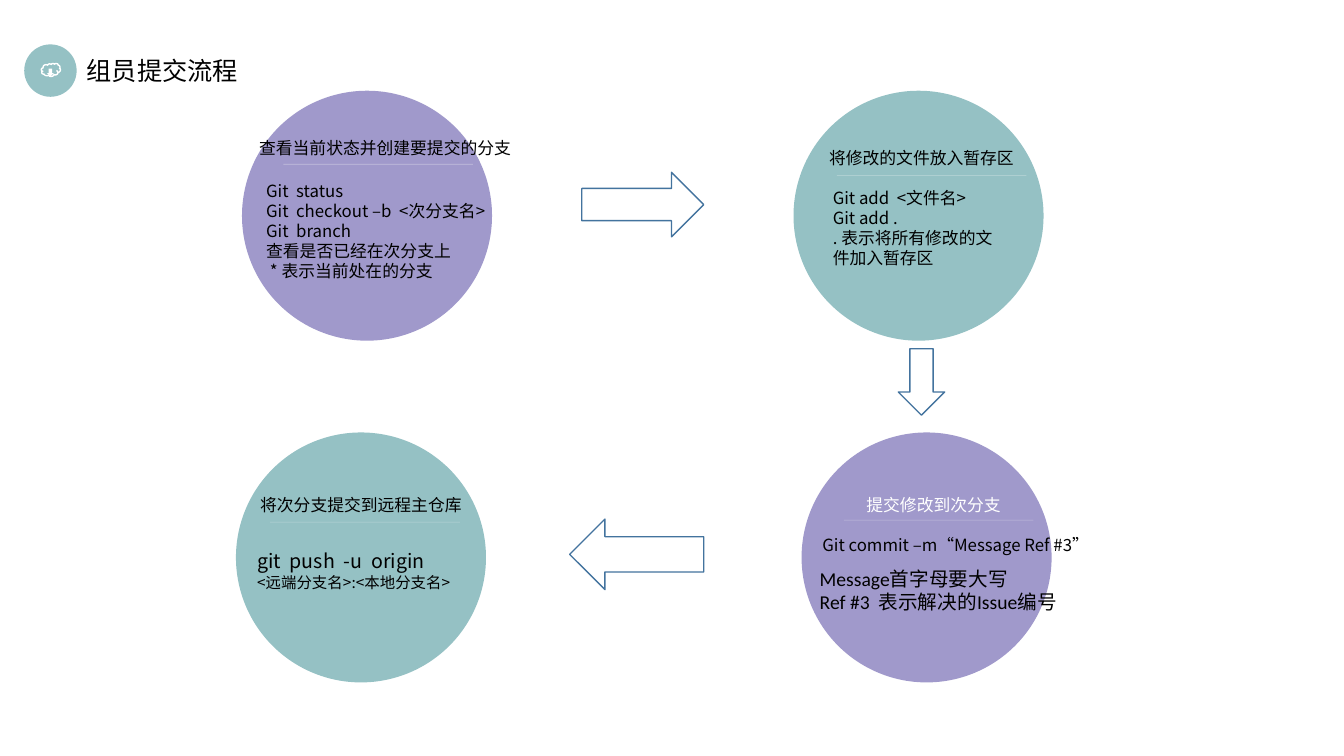
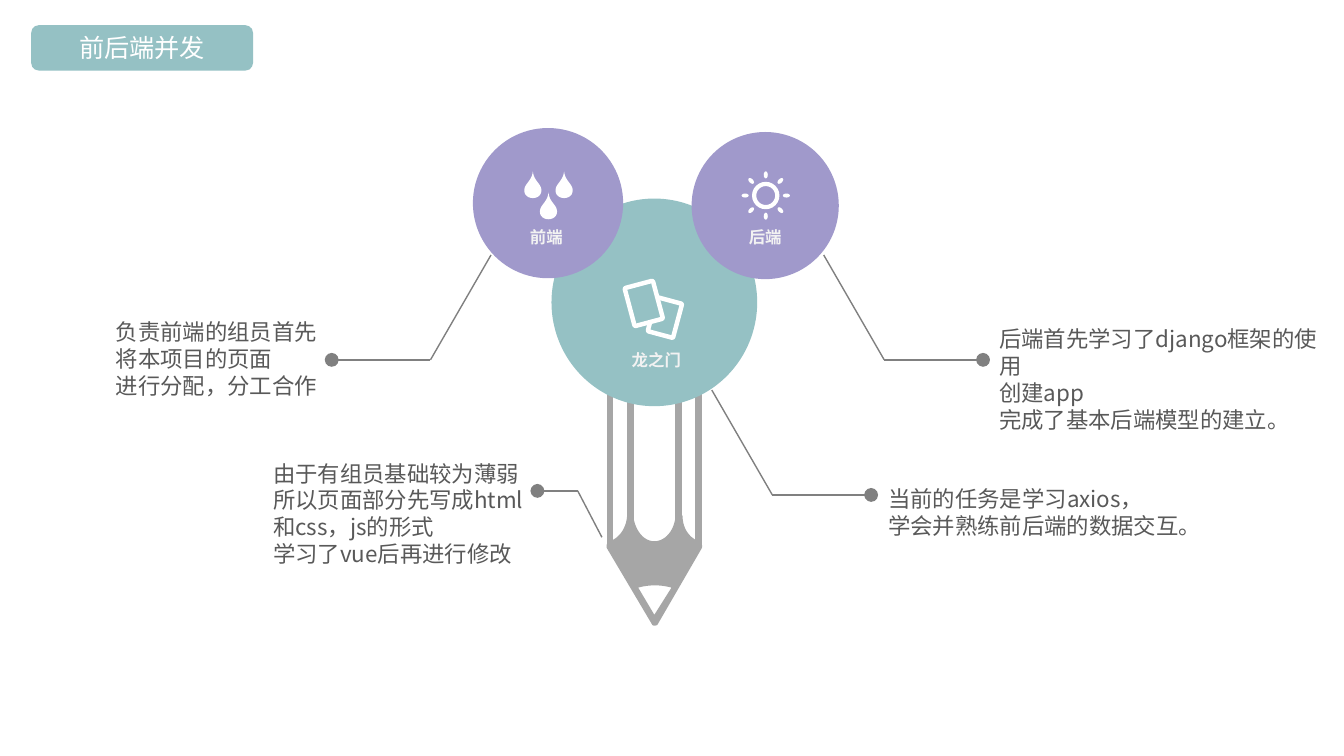
import math

import lxml.etree
import pptx
import pptx.dml.color
import pptx.enum.shapes
import pptx.enum.text
import pptx.oxml.ns
import pptx.util

KIND = pptx.enum.shapes.MSO_SHAPE
ALIGN = pptx.enum.text.PP_ALIGN
ANCHOR = pptx.enum.text.MSO_ANCHOR
CELL = pptx.util.Inches(0.1)
COMPARISON_LAYOUT = 4


def colour(value):
    """Turn a hex string into a colour."""
    return pptx.dml.color.RGBColor.from_string(value)


def add_xml(parent, tag, **attributes):
    """Append a drawing element to a parent element."""
    return lxml.etree.SubElement(parent, pptx.oxml.ns.qn(tag), attributes)


def trace(start, *segments):
    """List the points of straight (one point) and cubic (three point) segments."""
    points = [start]
    for segment in segments:
        if len(segment) == 1:
            points.append(segment[0])
            continue
        controls = (points[-1], *segment)
        for step in range(1, 13):
            t = step / 12
            weights = [math.comb(3, k) * t**k * (1 - t) ** (3 - k) for k in range(4)]
            points.append(tuple(sum(w * point[axis] for w, point in zip(weights, controls))
                                for axis in (0, 1)))
    return points


class Sketch:
    """Holds the style and the current slide, measured in cells of a tenth of an inch."""

    teal, purple, white, black = "95C1C4", "A099CB", "FFFFFF", "000000"
    pencil, leader, note, label, arrow = "A6A6A6", "808080", "595959", "F2F2F2", "43739E"
    cjk, latin = "Noto Sans CJK SC", "Calibri"

    def __init__(self):
        """Start a widescreen deck."""
        self.deck = pptx.Presentation()
        self.deck.slide_width = pptx.util.Inches(13.33)
        self.deck.slide_height = pptx.util.Inches(7.5)

    def start(self):
        """Add a slide with a title and four list placeholders."""
        layout = self.deck.slide_layouts[COMPARISON_LAYOUT]
        self.page = self.deck.slides.add_slide(layout)
        self.lists = [holder for holder in self.page.placeholders
                      if holder.placeholder_format.idx > 0]

    def cells(self, *lengths):
        """Convert cells to slide units."""
        return [round(length * CELL) for length in lengths]

    def letter(self, box, lines, sizes, ink, font=cjk, align=ALIGN.LEFT, bold=False,
               wrap=True, anchor=ANCHOR.TOP):
        """Set and format the lines of a box."""
        frame = box.text_frame
        frame.text = "\n".join(lines)
        frame.word_wrap = wrap
        frame.vertical_anchor = anchor
        frame.auto_size = pptx.enum.text.MSO_AUTO_SIZE.NONE
        for index, para in enumerate(frame.paragraphs):
            size = sizes[min(index, len(sizes) - 1)]
            para.alignment = align
            para.space_before = para.space_after = pptx.util.Pt(0)
            para.line_spacing = pptx.util.Pt(size * 1.2)
            properties = para._p.get_or_add_pPr()
            properties.set("marL", "0")
            properties.set("indent", "0")
            add_xml(properties, "a:buNone")
            for span in para.runs:
                span.font.size = pptx.util.Pt(size)
                span.font.bold = bold
                span.font.name = font
                span.font.color.rgb = colour(ink)
                add_xml(span.font._element, "a:ea", typeface=self.cjk)

    def place(self, holder, at):
        """Move a placeholder to its place, in front of what is drawn so far."""
        holder.left, holder.top, holder.width, holder.height = self.cells(*at)
        holder.element.getparent().append(holder.element)

    def title(self, at, text, ink, align):
        """Fill the title placeholder."""
        self.place(self.page.shapes.title, at)
        self.letter(self.page.shapes.title, [text], [18], ink, self.latin, align,
                    wrap=False, anchor=ANCHOR.MIDDLE)

    def listing(self, at, lines, sizes, ink, font=cjk):
        """Fill the next list placeholder."""
        holder = self.lists.pop(0)
        self.place(holder, at)
        self.letter(holder, lines, sizes, ink, font)

    def text(self, at, line, size, ink, bold=False):
        """Add a centred line of text."""
        box = self.page.shapes.add_textbox(*self.cells(*at))
        self.letter(box, [line], [size], ink, align=ALIGN.CENTER, bold=bold)

    def paint(self, shape, fill, line, width):
        """Set the fill and outline of a shape."""
        shape.shadow.inherit = False
        if fill:
            shape.fill.solid()
            shape.fill.fore_color.rgb = colour(fill)
        else:
            shape.fill.background()
        if line:
            shape.line.color.rgb = colour(line)
            shape.line.width = pptx.util.Pt(width)
        else:
            shape.line.fill.background()

    def shape(self, kind, at, fill=None, line=None, width=1, turn=0):
        """Add a preset shape."""
        shape = self.page.shapes.add_shape(kind, *self.cells(*at))
        shape.rotation = turn
        self.paint(shape, fill, line, width)
        return shape

    def centred(self, kind, middle, size, **style):
        """Add a preset shape around a middle point."""
        corner = [m - s / 2 for m, s in zip(middle, size)]
        return self.shape(kind, (*corner, *size), **style)

    def outline(self, fill, *contours):
        """Add a closed freeform made of one or more contours."""
        builder = None
        for contour in contours:
            points = [self.cells(*point) for point in contour]
            if builder is None:
                builder = self.page.shapes.build_freeform(*points[0], scale=1.0)
            else:
                builder.move_to(*points[0])
            builder.add_line_segments(points[1:], close=True)
        self.paint(builder.convert_to_shape(), fill, None, 0)

    def line(self, start, end, ink, width, opacity=None, dot=False):
        """Add a straight connector."""
        line = self.page.shapes.add_connector(
            pptx.enum.shapes.MSO_CONNECTOR.STRAIGHT, *self.cells(*start, *end))
        line.line.color.rgb = colour(ink)
        line.line.width = pptx.util.Pt(width)
        stroke = line.line._get_or_add_ln()
        if opacity:
            add_xml(next(stroke.iter(pptx.oxml.ns.qn("a:srgbClr"))), "a:alpha",
                    val=str(opacity * 1000))
        if dot:
            add_xml(stroke, "a:tailEnd", type="oval", w="lg", len="lg")
        add_xml(line._element.spPr, "a:effectLst")

    def leader_line(self, start, bend, end):
        """Add a bent leader that ends in a dot."""
        self.line(start, bend, self.leader, 1)
        self.line(bend, end, self.leader, 1, dot=True)


def draw_submit_flow(sketch):
    """Draw the four steps of the submit flow."""
    sketch.start()
    black = sketch.black
    steps = [
        ((24, 9), sketch.purple, (24.3, 13.2), "查看当前状态并创建要提交的分支", black, (28.1, 16.3),
         (25.4, 17.4, 25.6, 11.1), [12], sketch.cjk,
         ["Git  status", "Git  checkout –b  <次分支名>", "Git  branch",
          "查看是否已经在次分支上", " * 表示当前处在的分支"]),
        ((78.7, 9), sketch.teal, (77.5, 14.2), "将修改的文件放入暂存区", black, (83, 17.4),
         (81.6, 18.1, 19.1, 9.1), [12], sketch.cjk,
         ["Git add  <文件名>", "Git add .", ". 表示将所有修改的文件加入暂存区"]),
        ((79.5, 42.9), sketch.purple, (78.7, 48.6), "提交修改到次分支", sketch.white, (83.7, 51.6),
         (80.3, 55.7, 29, 5.9), [14], sketch.latin,
         ["Message首字母要大写", "Ref #3  表示解决的Issue编号"]),
        ((23.4, 42.9), sketch.teal, (21.9, 48.6), "将次分支提交到远程主仓库", black, (26.8, 51.8),
         (24.5, 54, 23.8, 5.2), [14, 11], sketch.cjk,
         ["git  push  -u  origin", "<远端分支名>:<本地分支名>"]),
    ]
    for corner, fill, head, heading, ink, rule, at, sizes, font, lines in steps:
        sketch.shape(KIND.OVAL, (*corner, 24.8, 24.8), fill)
        sketch.text((*head, 27.8, 3.1), heading, 12, ink)
        sketch.line(rule, (rule[0] + 18.8, rule[1]), sketch.white, 0.5, opacity=37)
        sketch.listing(at, lines, sizes, black, font)
    sketch.text((80.3, 52.6, 29, 3), "Git commit –m“Message Ref #3”", 12, black)
    for kind, at in [(KIND.RIGHT_ARROW, (57.7, 17.1, 12.1, 6.4)),
                     (KIND.DOWN_ARROW, (89.1, 34.6, 4.6, 6.6)),
                     (KIND.LEFT_ARROW, (56.5, 51.5, 13.3, 7))]:
        sketch.shape(kind, at, line=sketch.arrow)
    sketch.shape(KIND.OVAL, (2.4, 4.4, 5.2, 5.2), sketch.teal)
    sketch.shape(KIND.CLOUD, (4.1, 6.3, 1.9, 1.3), line=sketch.white)
    sketch.centred(KIND.DOWN_ARROW, (5, 7.2), (0.7, 0.8), fill=sketch.white)
    sketch.title((7.6, 5, 17.6, 4), "组员提交流程", black, ALIGN.LEFT)


def draw_pencil(sketch):
    """Draw the pencil's shaft and tip."""
    middle = 64.9
    for offset, top, bottom in [(4.4, 37.7, 54), (2.4, 36.4, 52.6)]:
        for side in (-1, 1):
            x = middle + side * offset
            sketch.line((x, top), (x, bottom), sketch.pencil, 5)
    tip = trace((60.2, 54.4), [(64.7, 62)], [(64.8, 62.1), (65, 62.1), (65.2, 62)],
                [(69.6, 54.4)], [(69.7, 54.2), (69.6, 53.8), (69.4, 53.7)],
                [(68.5, 53.5), (67.7, 52.5), (67.7, 51.2)],
                [(67.5, 50.8), (67.1, 50.8), (67, 51.2)],
                [(66.9, 52.6), (66, 53.7), (64.9, 53.7)],
                [(63.8, 53.7), (63, 52.6), (62.8, 51.2)],
                [(62.7, 50.8), (62.3, 50.8), (62.2, 51.2)],
                [(62.1, 52.5), (61.3, 53.5), (60.4, 53.7)],
                [(60.2, 53.8), (60.1, 54.2), (60.2, 54.4)])
    lead = trace((63.3, 58.3), [(64.4, 58), (65.5, 58), (66.6, 58.3)], [(64.9, 61)])
    sketch.outline(sketch.pencil, tip, lead)


def draw_icons(sketch):
    """Draw the drops, the sun and the two cards."""
    drops = [trace((x, y), [(x + 0.1, y + 1), (x + 0.85, y + 1.2), (x + 0.85, y + 1.9)],
                   [(x + 0.85, y + 2.9), (x - 0.85, y + 2.9), (x - 0.85, y + 1.9)],
                   [(x - 0.85, y + 1.2), (x - 0.1, y + 1), (x, y)])
             for x, y in [(52.85, 17), (55.95, 17), (54.4, 19.1)]]
    sketch.outline(sketch.white, *drops)
    sun = (75.95, 19.4)
    sketch.centred(KIND.OVAL, sun, (2.3, 2.3), line=sketch.white, width=3)
    for turn in range(0, 360, 45):
        angle = math.radians(turn)
        ray = (sun[0] + 2.05 * math.cos(angle), sun[1] + 2.05 * math.sin(angle))
        sketch.centred(KIND.OVAL, ray, (0.7, 0.4), fill=sketch.white, turn=turn)
    for middle, size, turn in [((65.95, 31.5), (2.6, 3.5), 15), ((63.85, 30.1), (2.9, 3.9), -15)]:
        card = sketch.centred(KIND.ROUNDED_RECTANGLE, middle, size, fill=sketch.teal,
                              line=sketch.white, width=3.2, turn=turn)
        card.adjustments[0] = 0.05


def draw_parallel_work(sketch):
    """Draw how front end and back end work side by side."""
    sketch.start()
    draw_pencil(sketch)
    for at, fill in [((54.7, 19.7, 20.4, 20.6), sketch.teal),
                     ((46.9, 12.7, 14.9, 14.9), sketch.purple),
                     ((68.6, 13.1, 14.6, 14.6), sketch.purple)]:
        sketch.shape(KIND.OVAL, at, fill)
    draw_icons(sketch)
    for middle, top, name in [(65.1, 34.2, "龙之门"), (54.2, 22, "前端"), (75.9, 22, "后端")]:
        sketch.text((middle - 7.5, top, 15, 3), name, 11.7, sketch.label, bold=True)
    for leader in [((48.7, 25.3), (42.7, 35.7), (32.9, 35.7)),
                   ((81.7, 25.3), (87.7, 35.7), (97.5, 35.7)),
                   ((70.6, 38.7), (76.6, 49.1), (86.4, 49.1)),
                   ((59.7, 53.3), (57.3, 48.7), (53.3, 48.7))]:
        sketch.leader_line(*leader)
    notes = [
        ((98.1, 31.8, 35.2, 11.8), ["后端首先学习了django框架的使用", "创建app",
                                    "完成了基本后端模型的建立。"]),
        ((87.1, 47.6, 33.4, 6.4), ["当前的任务是学习axios，", "学会并熟练前后端的数据交互。"]),
        ((26.1, 45.1, 27.9, 15), ["由于有组员基础较为薄弱", "所以页面部分先写成html和css，js的形式",
                                  "学习了vue后再进行修改"]),
        ((10.5, 31.1, 22.6, 9.1), ["负责前端的组员首先将本项目的页面", "进行分配，分工合作"]),
    ]
    for at, lines in notes:
        sketch.listing(at, lines, [16], sketch.note)
    band = (3.1, 2.5, 22, 4.5)
    sketch.shape(KIND.ROUNDED_RECTANGLE, band, sketch.teal)
    sketch.title(band, "前后端并发", sketch.white, ALIGN.CENTER)


def main():
    """Build and save the deck."""
    sketch = Sketch()
    draw_submit_flow(sketch)
    draw_parallel_work(sketch)
    sketch.deck.save("out.pptx")


if __name__ == "__main__":
    main()
